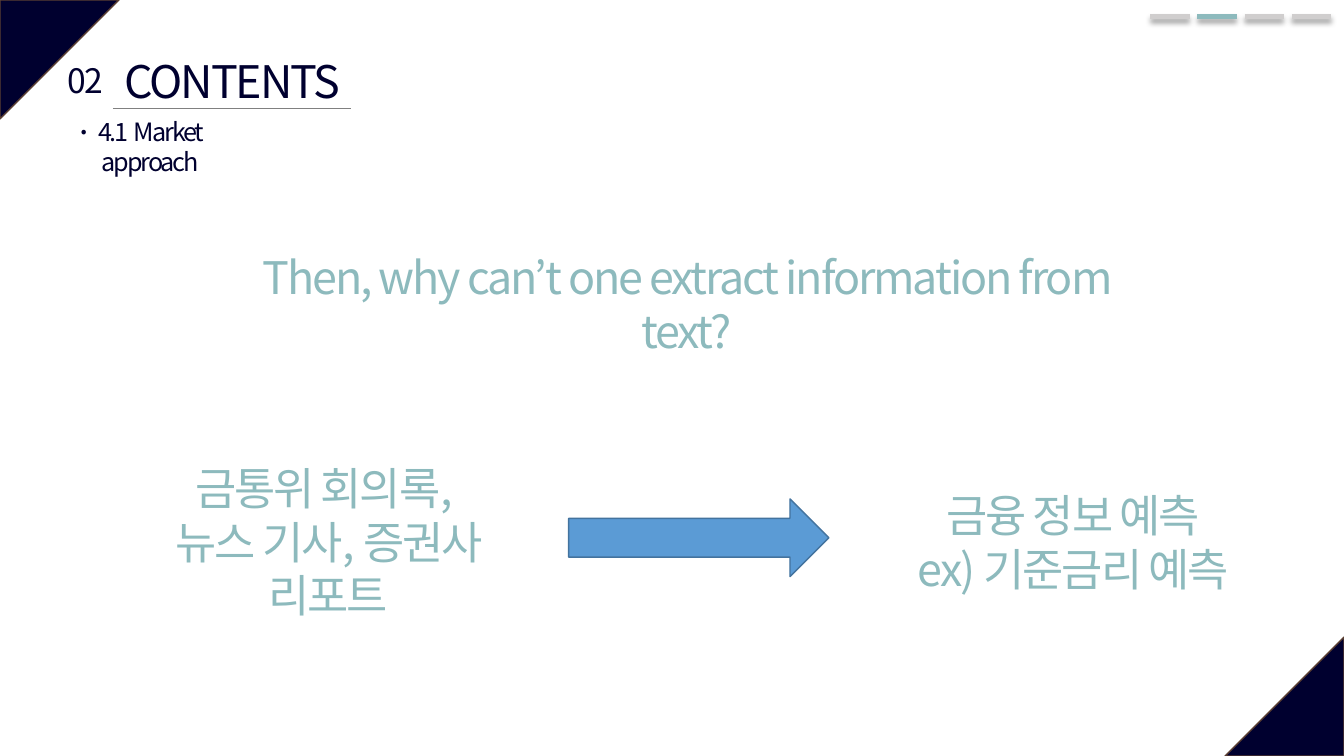
from lxml.etree import SubElement
from pptx import Presentation
from pptx.dml.color import RGBColor
from pptx.enum.shapes import MSO_CONNECTOR as Link, MSO_SHAPE as Kind
from pptx.enum.text import MSO_ANCHOR as Anchor, MSO_AUTO_SIZE as Fit, PP_ALIGN as Align
from pptx.oxml.ns import qn
from pptx.util import Inches, Pt

FONT = "Noto Sans CJK KR"
HUES = {"navy": "00002F", "brown": "5B3F33", "teal": "8DBABD", "pale": "D0CECE",
        "gray": "808080", "blue": "5B9BD5", "edge": "43739E", "black": "000000"}


def hue(name):
    """Return a named colour."""
    return RGBColor.from_string(HUES[name])


def write(slide, text, box, size=32, color="teal", wrap=False, shape=None):
    """Write centred lines of text in a box or a given placeholder."""
    area = [Inches(n) for n in box]
    if shape is None:
        shape = slide.shapes.add_textbox(*area)
    shape.left, shape.top, shape.width, shape.height = area
    frame = shape.text_frame
    frame.text = text
    frame.word_wrap = wrap
    frame.auto_size = Fit.SHAPE_TO_FIT_TEXT
    frame.vertical_anchor = Anchor.TOP
    for para in frame.paragraphs:
        para.alignment = Align.CENTER
        for run in para.runs:
            run.font.size = Pt(size)
            run.font.name = FONT
            run.font.color.rgb = hue(color)
            props = run.font._element
            props.set("spc", "-150")
            SubElement(props, qn("a:ea")).set("typeface", FONT)


def block(slide, kind, box, fill, edge):
    """Add a filled shape with a thin outline."""
    shape = slide.shapes.add_shape(kind, *[Inches(n) for n in box])
    shape.shadow.inherit = False
    shape.fill.solid()
    shape.fill.fore_color.rgb = hue(fill)
    shape.line.color.rgb = hue(edge)
    shape.line.width = Pt(1)
    return shape


def rule(slide, left, top, width, color, weight):
    """Draw a level line and return its effect list."""
    line = slide.shapes.add_connector(
        Link.STRAIGHT, *[Inches(n) for n in (left, top, left + width, top)])
    line.line.color.rgb = hue(color)
    line.line.width = Pt(weight)
    return SubElement(line._element.spPr, qn("a:effectLst"))


def corners(slide, width, height, side=1.18):
    """Fill two opposite corners of the slide with triangles."""
    for left, top, turn in ((0, 0, 90), (width - side, height - side, 270)):
        shape = block(slide, Kind.ISOSCELES_TRIANGLE, (left, top, side, side), "navy", "brown")
        shape.adjustments[0] = 0
        shape.rotation = turn


def steps(slide, left, top, count=4, active=1):
    """Draw the row of progress bars with soft shadows."""
    for i in range(count):
        color = "teal" if i == active else "pale"
        effects = rule(slide, left + i * 0.467, top, 0.39, color, 3.5)
        shade = SubElement(effects, qn("a:outerShdw"), blurRad=str(Pt(4)), dist=str(Pt(3)),
                           dir="5400000", algn="t", rotWithShape="0")
        tint = SubElement(shade, qn("a:srgbClr"), val=HUES["black"])
        SubElement(tint, qn("a:alpha"), val="40000")


def header(slide, left, top):
    """Place the section number, title, rule and subtitle."""
    rule(slide, left + 0.73, top + 0.6, 2.36, "gray", 0.5)
    write(slide, "CONTENTS", (left + 0.61, top, 2.61, 0.64), color="navy",
          shape=slide.shapes.title)
    write(slide, "02.", (left + 0.15, top + 0.07, 0.59, 0.5), size=24, color="navy")
    write(slide, "4.1  Market approach", (left, top + 0.62, 2.2, 0.4), size=18, color="navy")


def flow(slide, left, top):
    """Show the question and the arrow from sources to forecast."""
    write(slide, "Then, why can’t one extract information from text?",
          (left + 1.12, top, 9.34, 0.64))
    write(slide, "금통위 회의록, \n뉴스 기사, 증권사 리포트", (left, top + 2.09, 4.47, 1.72), wrap=True)
    block(slide, Kind.RIGHT_ARROW, (left + 4.62, top + 2.52, 2.58, 0.77), "blue", "edge")
    write(slide, "금융 정보 예측\nex) 기준금리 예측", (left + 7.39, top + 2.36, 4.47, 1.18), wrap=True)


def main():
    """Build and save the slide."""
    deck = Presentation()
    deck.slide_width, deck.slide_height = Inches(13.33), Inches(7.5)
    slide = deck.slides.add_slide(deck.slide_layouts[5])
    corners(slide, 13.33, 7.5)
    steps(slide, 11.41, 0.16)
    header(slide, 0.39, 0.48)
    flow(slide, 1.02, 2.43)
    deck.save("out.pptx")


if __name__ == "__main__":
    main()
